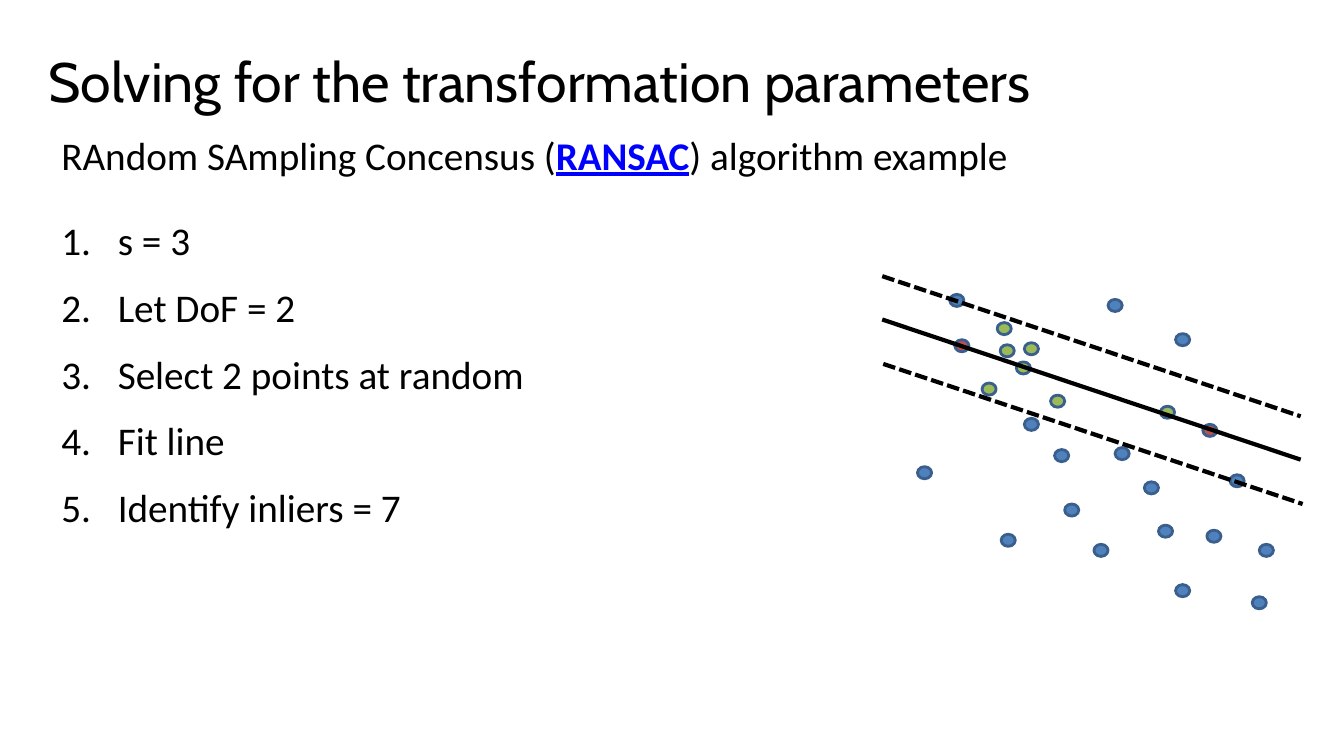
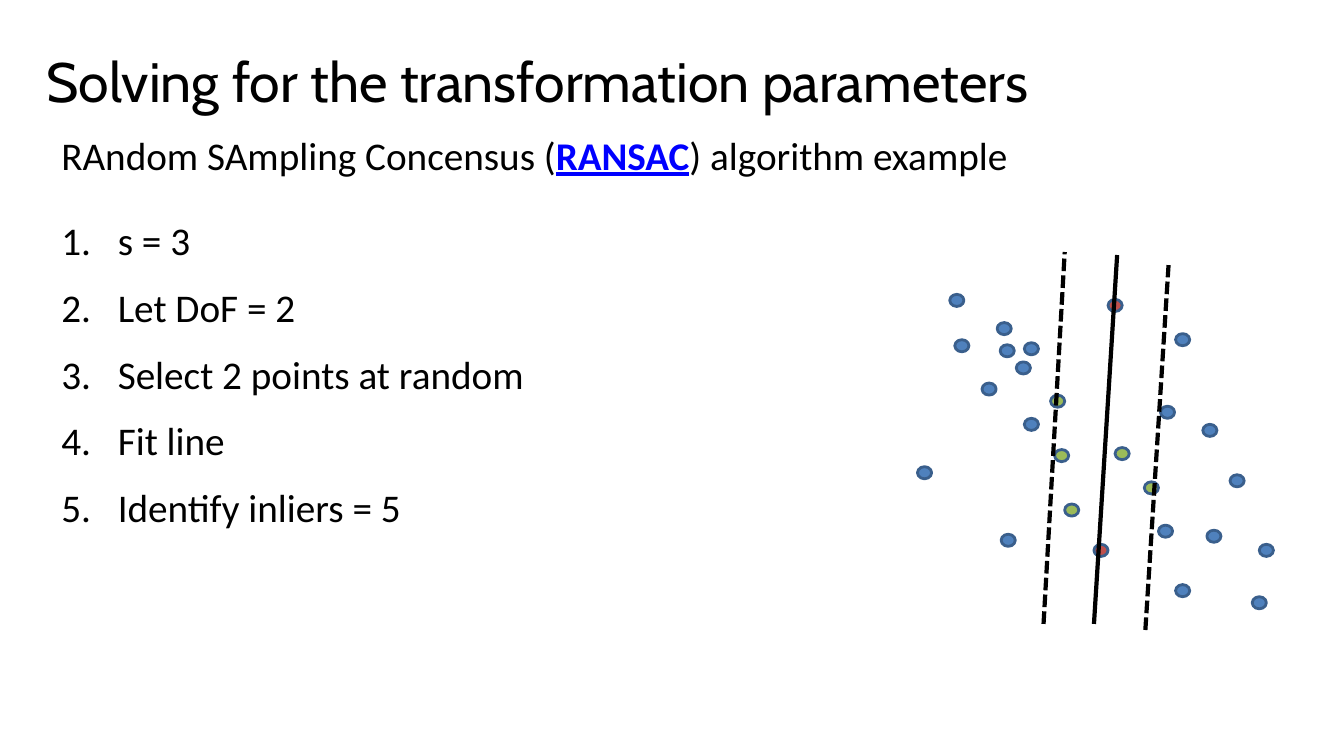
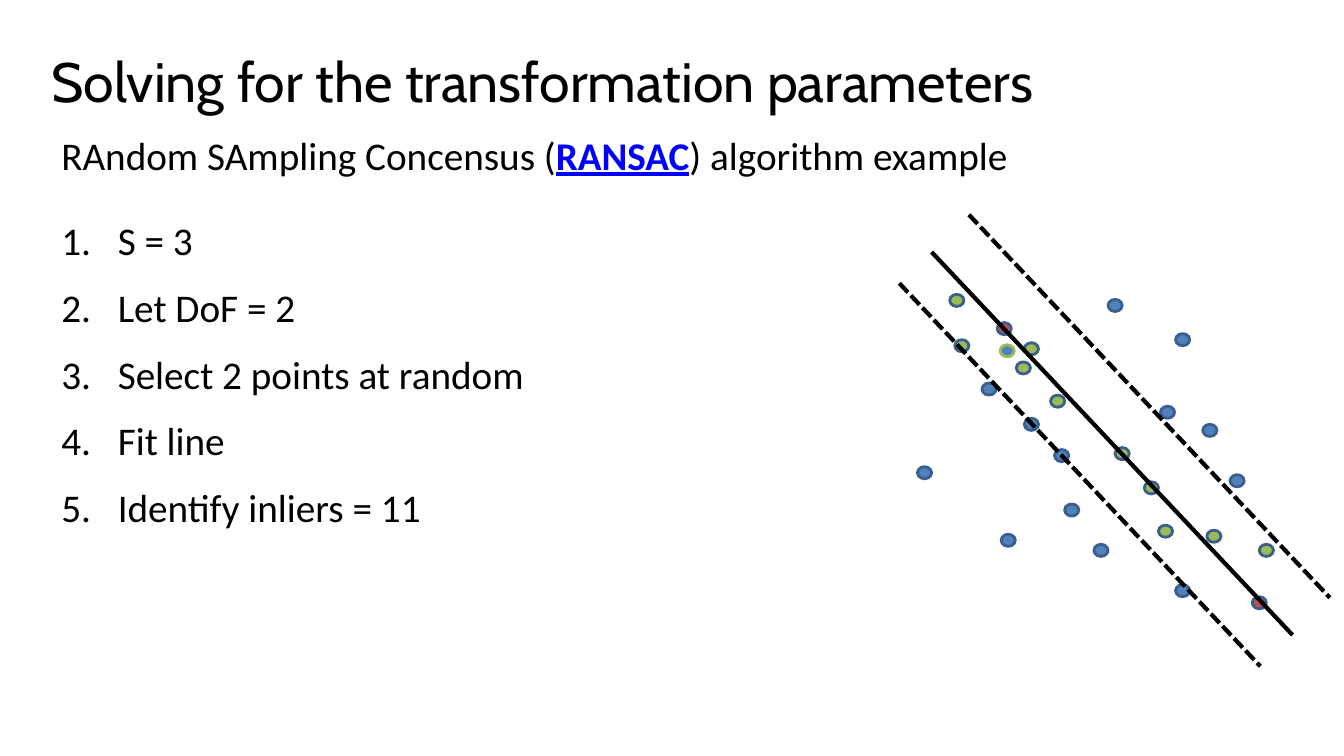
from dataclasses import dataclass

from lxml import etree
from pptx import Presentation
from pptx.dml.color import RGBColor
from pptx.enum.dml import MSO_LINE
from pptx.enum.shapes import MSO_CONNECTOR, MSO_SHAPE
from pptx.enum.text import MSO_ANCHOR, MSO_AUTO_SIZE, PP_ALIGN
from pptx.oxml.ns import qn
from pptx.util import Inches, Pt

OVAL = MSO_SHAPE.OVAL
STRAIGHT = MSO_CONNECTOR.STRAIGHT
DASH = MSO_LINE.SQUARE_DOT
TOP = MSO_ANCHOR.TOP
LEFT = PP_ALIGN.LEFT
NO_FIT = MSO_AUTO_SIZE.NONE


@dataclass(frozen=True)
class Theme:
    ink: str = "000000"
    link: str = "0000FF"
    point: str = "4F81BD"
    sample: str = "C0504D"
    inlier: str = "9BBB59"
    outline: str = "3A5F8C"
    title_font: str = "Cabin"
    body_font: str = "Calibri"
    title_size: float = 39.6
    body_size: float = 28
    step_gap: float = 14
    outline_width: float = 2
    line_width: float = 3


THEME = Theme()

# Content
TITLE = "Solving for the transformation parameters"
SUBTITLE = [("RAndom SAmpling Concensus (", False), ("RANSAC", True),
            (") algorithm example", False)]
STEPS = ["{size} = 3", "Let DoF = 2", "Select 2 points at random", "Fit line",
         "Identify inliers = {count}"]

# Top left corners of the data points, shared by all trials
POINTS = [
    (9.42, 2.92), (10.99, 2.97), (9.47, 3.37), (9.92, 3.42), (10.08, 3.59),
    (10.16, 4.15), (10.42, 3.92), (10.46, 4.46), (11.93, 4.21), (11.06, 4.44),
    (11.35, 4.78), (9.93, 5.3), (11.51, 4.03), (11.49, 5.21), (10.85, 5.4),
    (11.97, 5.26), (12.49, 5.4), (11.66, 5.8), (12.42, 5.92), (10.56, 5),
    (9.89, 3.2), (12.2, 4.71), (10.16, 3.4), (9.1, 4.63), (9.74, 3.8),
    (11.66, 3.31),
]
POINT_W, POINT_H = 0.14, 0.12
TITLE_RIGHT = 13.02

# Indexes refer to POINTS; "ringed" inliers are marked by their outline only
TRIALS = [
    dict(title_left=0.27, size="s", sample={2, 8},
         inliers={3, 4, 6, 12, 20, 22, 24}, ringed=set(),
         fit=(8.75, 3.17, 12.9, 4.56),
         margins=[(8.76, 3.61, 12.92, 5), (8.75, 2.74, 12.9, 4.13)]),
    dict(title_left=0.25, size="s", sample={1, 14},
         inliers={6, 7, 9, 10, 19}, ringed=set(),
         fit=(11.08, 2.53, 10.85, 6.19),
         margins=[(10.35, 6.19, 10.56, 2.5), (11.36, 6.25, 11.59, 2.63)]),
    dict(title_left=0.3, size="S", sample={18, 20},
         inliers={0, 2, 4, 6, 9, 10, 13, 15, 16, 22}, ringed={3},
         fit=(9.24, 2.5, 12.82, 6.3),
         margins=[(8.92, 2.81, 12.5, 6.61), (9.61, 2.13, 13.19, 5.93)]),
]


def rgb(value):
    return RGBColor.from_string(value)


def add_run(p, text, font, size, color=THEME.ink):
    r = p.add_run()
    r.text = text
    r.font.name = font
    r.font.size = Pt(size)
    r.font.color.rgb = rgb(color)
    return r


def add_title(s, left):
    sp = s.shapes.title
    sp.left, sp.top = Inches(left), Inches(0)
    sp.width, sp.height = Inches(TITLE_RIGHT - left), Inches(1.07)
    tf = sp.text_frame
    tf.word_wrap = True
    tf.auto_size = NO_FIT
    tf.vertical_anchor = TOP
    tf.margin_left, tf.margin_top = Inches(0.21), Inches(0.59)
    tf.margin_bottom = Inches(0)
    p = tf.paragraphs[0]
    p.alignment = LEFT
    p.line_spacing = 0.8
    add_run(p, TITLE, THEME.title_font, THEME.title_size)


def add_text_box(s, x, y, w, h):
    tf = s.shapes.add_textbox(Inches(x), Inches(y), Inches(w), Inches(h)).text_frame
    tf.word_wrap = True
    return tf


def add_subtitle(s):
    p = add_text_box(s, 0.51, 1.25, 12.6, 0.76).paragraphs[0]
    for text, linked in SUBTITLE:
        color = THEME.link if linked else THEME.ink
        r = add_run(p, text, THEME.body_font, THEME.body_size, color)
        r.font.bold = r.font.underline = linked


def add_steps(s, steps):
    tf = add_text_box(s, 0.51, 2.1, 7.75, 4.95)
    for i, step in enumerate(steps):
        p = tf.add_paragraph() if i else tf.paragraphs[0]
        pPr = p._p.get_or_add_pPr()
        pPr.set("marL", str(Inches(0.56)))
        pPr.set("indent", str(-Inches(0.56)))
        etree.SubElement(pPr, qn("a:buFont"), typeface="+mj-lt")
        etree.SubElement(pPr, qn("a:buAutoNum"), type="arabicPeriod")
        if i:
            p.space_before = Pt(THEME.step_gap)
        add_run(p, step, THEME.body_font, THEME.body_size)


def add_points(s, trial):
    for i, (x, y) in enumerate(POINTS):
        fill = (THEME.sample if i in trial["sample"]
                else THEME.inlier if i in trial["inliers"] else THEME.point)
        outline = THEME.inlier if i in trial["ringed"] else THEME.outline
        sp = s.shapes.add_shape(OVAL, Inches(x), Inches(y),
                                Inches(POINT_W), Inches(POINT_H))
        sp.shadow.inherit = False
        sp.fill.solid()
        sp.fill.fore_color.rgb = rgb(fill)
        sp.line.color.rgb = rgb(outline)
        sp.line.width = Pt(THEME.outline_width)


def add_line(s, ends, dash=None):
    line = s.shapes.add_connector(STRAIGHT, *(Inches(v) for v in ends))
    line.line.color.rgb = rgb(THEME.ink)
    line.line.width = Pt(THEME.line_width)
    if dash:
        line.line.dash_style = dash
    etree.SubElement(line._element.spPr, qn("a:effectLst"))


def add_trial(prs, trial):
    s = prs.slides.add_slide(prs.slide_layouts[5])
    add_title(s, trial["title_left"])
    add_subtitle(s)
    add_points(s, trial)
    count = len(trial["inliers"] | trial["ringed"])
    add_steps(s, [step.format(size=trial["size"], count=count) for step in STEPS])
    # Fitted line and its tolerance band
    add_line(s, trial["fit"])
    for ends in trial["margins"]:
        add_line(s, ends, DASH)


def main():
    prs = Presentation()
    prs.slide_width, prs.slide_height = Inches(13.33), Inches(7.5)
    for trial in TRIALS:
        add_trial(prs, trial)
    prs.save("out.pptx")


if __name__ == "__main__":
    main()
